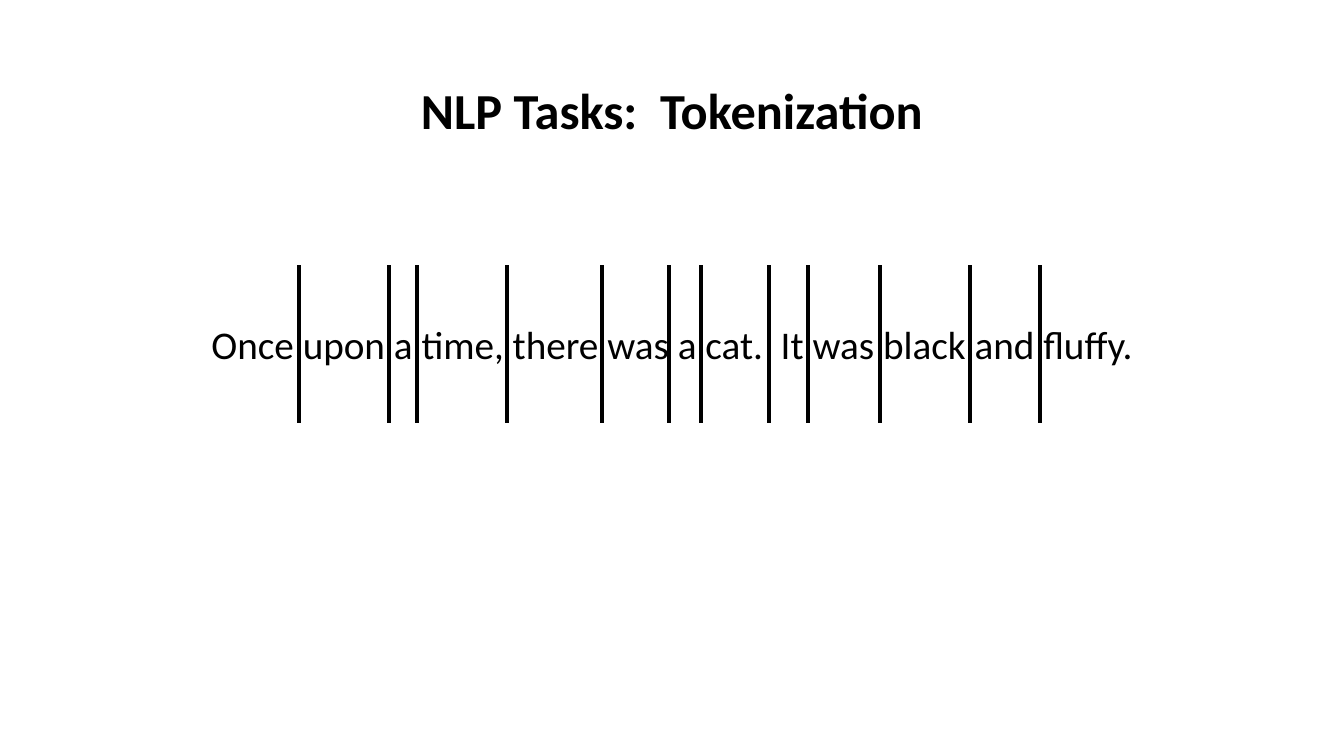
from pptx import Presentation
from pptx.dml.color import RGBColor
from pptx.enum.shapes import MSO_CONNECTOR as Conn
from pptx.enum.text import MSO_ANCHOR as Anchor, PP_ALIGN as Align
from pptx.oxml.ns import qn
from pptx.util import Pt
from lxml.etree import SubElement

BLACK = RGBColor(0x00, 0x00, 0x00)
LEFT, WIDTH = 66, 828


def write(frame, text, size=28, bold=False, space=1.0, anchor=Anchor.TOP):
    """Fill a text frame with one centred paragraph."""
    frame.word_wrap = True
    frame.vertical_anchor = anchor
    para = frame.paragraphs[0]
    para.alignment = Align.CENTER
    para.line_spacing = space
    run = para.add_run()
    run.text = text
    font = run.font
    font.name = "Calibri"
    font.size = Pt(size)
    font.bold = bold
    font.color.rgb = BLACK


class Deck:
    """Holds the line style and the current slide."""

    def __init__(self):
        self.prs = Presentation()
        self.prs.slide_width, self.prs.slide_height = Pt(960), Pt(540)
        self.slide = self.prs.slides.add_slide(self.prs.slide_layouts[5])
        self.color, self.weight = BLACK, Pt(3)

    def title(self, text, top, height):
        box = self.slide.shapes.title
        box.left, box.top = Pt(LEFT), Pt(top)
        box.width, box.height = Pt(WIDTH), Pt(height)
        write(box.text_frame, text, size=36, bold=True, space=0.9,
              anchor=Anchor.MIDDLE)

    def text(self, text, top, height):
        box = self.slide.shapes.add_textbox(
            Pt(LEFT), Pt(top), Pt(WIDTH), Pt(height))
        write(box.text_frame, text)

    def bar(self, x, top, end):
        bar = self.slide.shapes.add_connector(
            Conn.STRAIGHT, Pt(x), Pt(top), Pt(x), Pt(end))
        bar.line.color.rgb = self.color
        bar.line.width = self.weight
        SubElement(bar._element.spPr, qn("a:effectLst"))


def main():
    deck = Deck()

    # Title and sentence
    deck.title("NLP Tasks:  Tokenization", 28.8, 104.4)
    deck.text("Once upon a time, there was a cat.  It was black and fluffy.",
              225.4, 41.4)

    # Bars at the token breaks
    for x in (213.8, 278, 298, 362, 430, 478, 501, 549.4, 577, 628.5,
              692.8, 743):
        deck.bar(x, 189.4, 302.4)

    deck.prs.save("out.pptx")


if __name__ == "__main__":
    main()
